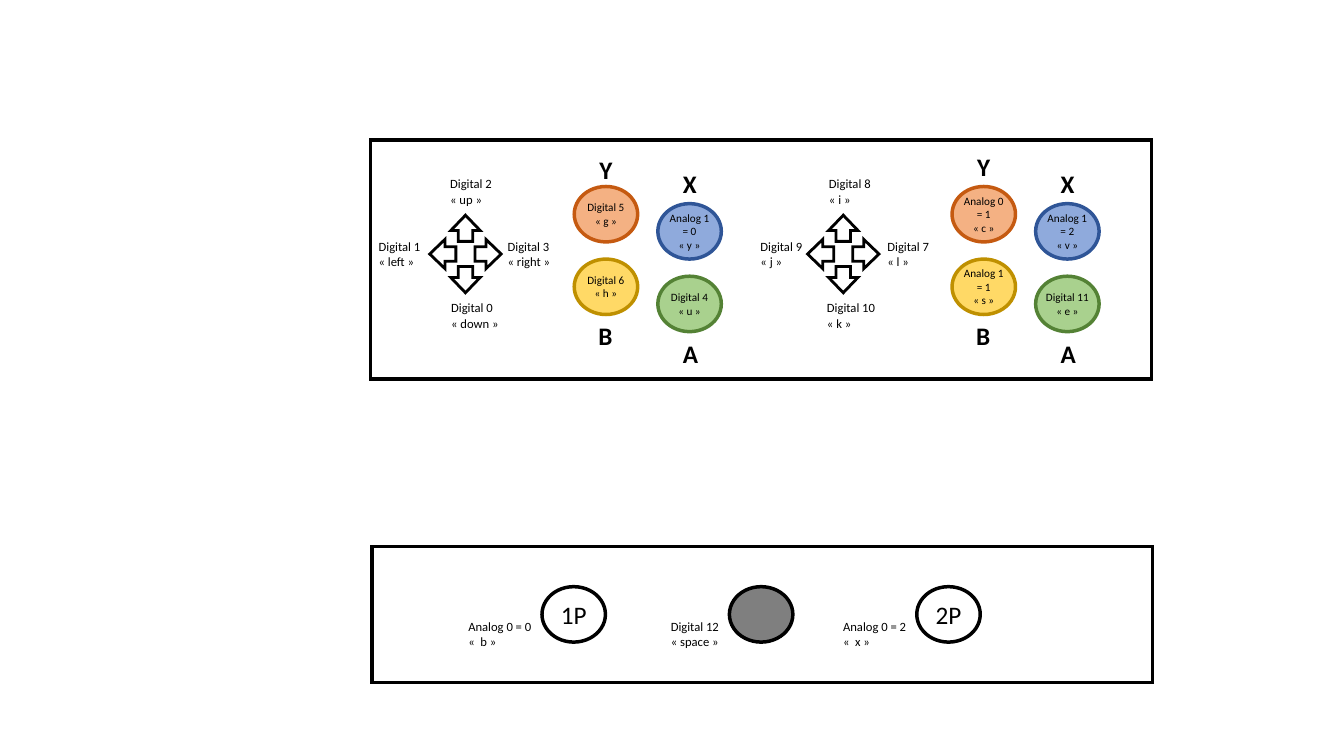
from typing import NamedTuple

from lxml import etree
from pptx import Presentation
from pptx.dml.color import RGBColor
from pptx.enum.shapes import MSO_SHAPE
from pptx.enum.text import MSO_ANCHOR, MSO_AUTO_SIZE, PP_ALIGN
from pptx.oxml.ns import qn
from pptx.util import Inches, Pt

COLORS = {
    "black": "000000", "gray": "7F7F7F",
    "orange": "F4B183", "orange_line": "C55A11",
    "yellow": "FFD966", "yellow_line": "BF9000",
    "blue": "8FAADC", "blue_line": "2F5597",
    "green": "A9D18E", "green_line": "548235",
}
FONT = "Calibri"
PLAYER_GAP = 3.75
BUTTON_W, BUTTON_H = 0.63, 0.55
ARROW_W, ARROW_H = 0.26, 0.29
LABEL_H = 0.4


class ButtonSpot(NamedTuple):
    """Place and colour of a button, the same for both players."""
    left: float
    top: float
    color: str


class Label(NamedTuple):
    left: float
    top: float
    width: float
    lines: list[str]
    size: int = 9
    bold: bool = False


def pin(name: str, key: str) -> list[str]:
    """Lines naming an input pin and, between guillemets, its key."""
    return [*name.split("|"), f"« {key} »"]


BUTTON_SPOTS = [
    ButtonSpot(5.7, 1.85, "orange"),
    ButtonSpot(5.7, 2.57, "yellow"),
    ButtonSpot(6.53, 2.02, "blue"),
    ButtonSpot(6.53, 2.74, "green"),
]
PLAYER_BUTTONS = [
    [pin("Digital 5", "g"), pin("Digital 6", "h"),
     pin("Analog 1|= 0", "y"), pin("Digital 4", "u")],
    [pin("Analog 0 = 1", "c"), pin("Analog 1 = 1", "s"),
     pin("Analog 1 = 2", "v"), pin("Digital 11", "e")],
]
PIN_LABELS = [
    Label(4.37, 1.7, 0.65, pin("Digital 2", "up")),
    Label(3.66, 2.32, 0.65, pin("Digital 1", "left")),
    Label(4.94, 2.32, 0.65, pin("Digital 3", "right")),
    Label(4.38, 2.93, 0.7, pin("Digital 0", "down")),
    Label(8.13, 1.7, 0.65, pin("Digital 8", "i")),
    Label(7.45, 2.32, 0.65, pin("Digital 9", "j")),
    Label(8.71, 2.32, 0.65, pin("Digital 7", "l")),
    Label(8.11, 2.93, 0.71, pin("Digital 10", "k")),
    Label(4.55, 6.09, 0.86, pin("Analog 0 = 0", " b")),
    Label(6.56, 6.09, 0.71, pin("Digital 12", "space")),
    Label(8.27, 6.09, 0.86, pin("Analog 0 = 2", " x")),
]
LETTER_LABELS = [
    Label(left + player * PLAYER_GAP, top, width, [letter], 18, True)
    for player, y_top in enumerate((1.48, 1.45))
    for letter, left, top, width in (
        ("Y", 5.85, y_top, 0.33), ("X", 6.68, 1.62, 0.34),
        ("B", 5.84, 3.13, 0.34), ("A", 6.68, 3.31, 0.35))
]


def rgb(name: str) -> RGBColor:
    return RGBColor.from_string(COLORS[name])


def add_outline(shapes, kind, left: float, top: float, width: float, height: float,
                fill: str | None = None, line: str = "black", weight: float = 2.5):
    """Add a preset shape with a sharp-cornered outline."""
    sp = shapes.add_shape(kind, Inches(left), Inches(top), Inches(width), Inches(height))
    sp.shadow.inherit = False
    if fill:
        sp.fill.solid()
        sp.fill.fore_color.rgb = rgb(fill)
    else:
        sp.fill.background()
    sp.line.color.rgb = rgb(line)
    sp.line.width = Pt(weight)
    ln = sp.line.fill._xPr
    etree.SubElement(ln, qn("a:miter"), lim="800000")
    return sp


def write_lines(tf, lines: list[str], size: int, align, bold: bool = False) -> None:
    for i, line in enumerate(lines):
        p = tf.paragraphs[0] if i == 0 else tf.add_paragraph()
        p.text = line
        p.alignment = align
        p.font.name = FONT
        p.font.size = Pt(size)
        p.font.bold = bold
        p.font.color.rgb = rgb("black")


def add_button(shapes, left: float, top: float, lines: list[str], size: int,
               margin: float, fill: str | None = None, line: str = "black") -> None:
    sp = add_outline(shapes, MSO_SHAPE.OVAL, left, top, BUTTON_W, BUTTON_H, fill, line)
    tf = sp.text_frame
    tf.word_wrap = True
    tf.vertical_anchor = MSO_ANCHOR.MIDDLE
    tf.margin_left = tf.margin_right = Inches(margin)
    write_lines(tf, lines, size, PP_ALIGN.CENTER)


def add_label(shapes, label: Label) -> None:
    tf = shapes.add_textbox(Inches(label.left), Inches(label.top),
                            Inches(label.width), Inches(LABEL_H)).text_frame
    tf.word_wrap = True
    tf.auto_size = MSO_AUTO_SIZE.NONE
    write_lines(tf, label.lines, label.size, PP_ALIGN.LEFT, label.bold)


def add_joystick(shapes, center_x: float, center_y: float) -> None:
    """Four arrows pointing away from a centre, in one group."""
    group = shapes.add_group_shape()
    for angle, dx, dy in ((0, 0.225, 0), (180, -0.225, 0), (90, 0, 0.255), (270, 0, -0.255)):
        sp = add_outline(group.shapes, MSO_SHAPE.RIGHT_ARROW,
                         center_x + dx - ARROW_W / 2, center_y + dy - ARROW_H / 2,
                         ARROW_W, ARROW_H, weight=2)
        sp.adjustments[0], sp.adjustments[1] = 0.5, 0.58
        sp.rotation = angle


def main() -> None:
    prs = Presentation()
    prs.slide_width, prs.slide_height = Inches(13.34), Inches(7.5)
    shapes = prs.slides.add_slide(prs.slide_layouts[6]).shapes

    add_outline(shapes, MSO_SHAPE.RECTANGLE, 3.68, 1.39, 7.75, 2.37)
    add_outline(shapes, MSO_SHAPE.RECTANGLE, 3.69, 5.42, 7.75, 1.35)

    for player, buttons in enumerate(PLAYER_BUTTONS):
        shift = player * PLAYER_GAP
        for spot, lines in zip(BUTTON_SPOTS, buttons):
            add_button(shapes, spot.left + shift, spot.top, lines, 8, 0,
                       spot.color, f"{spot.color}_line")
        add_joystick(shapes, 4.62 + shift, 2.52)

    for i, (text, fill) in enumerate((("1P", None), ("", "gray"), ("2P", None))):
        add_button(shapes, 5.38 + i * 1.86, 5.82, [text] if text else [], 18, 0.08, fill)

    for label in PIN_LABELS + LETTER_LABELS:
        add_label(shapes, label)

    prs.save("out.pptx")


if __name__ == "__main__":
    main()
